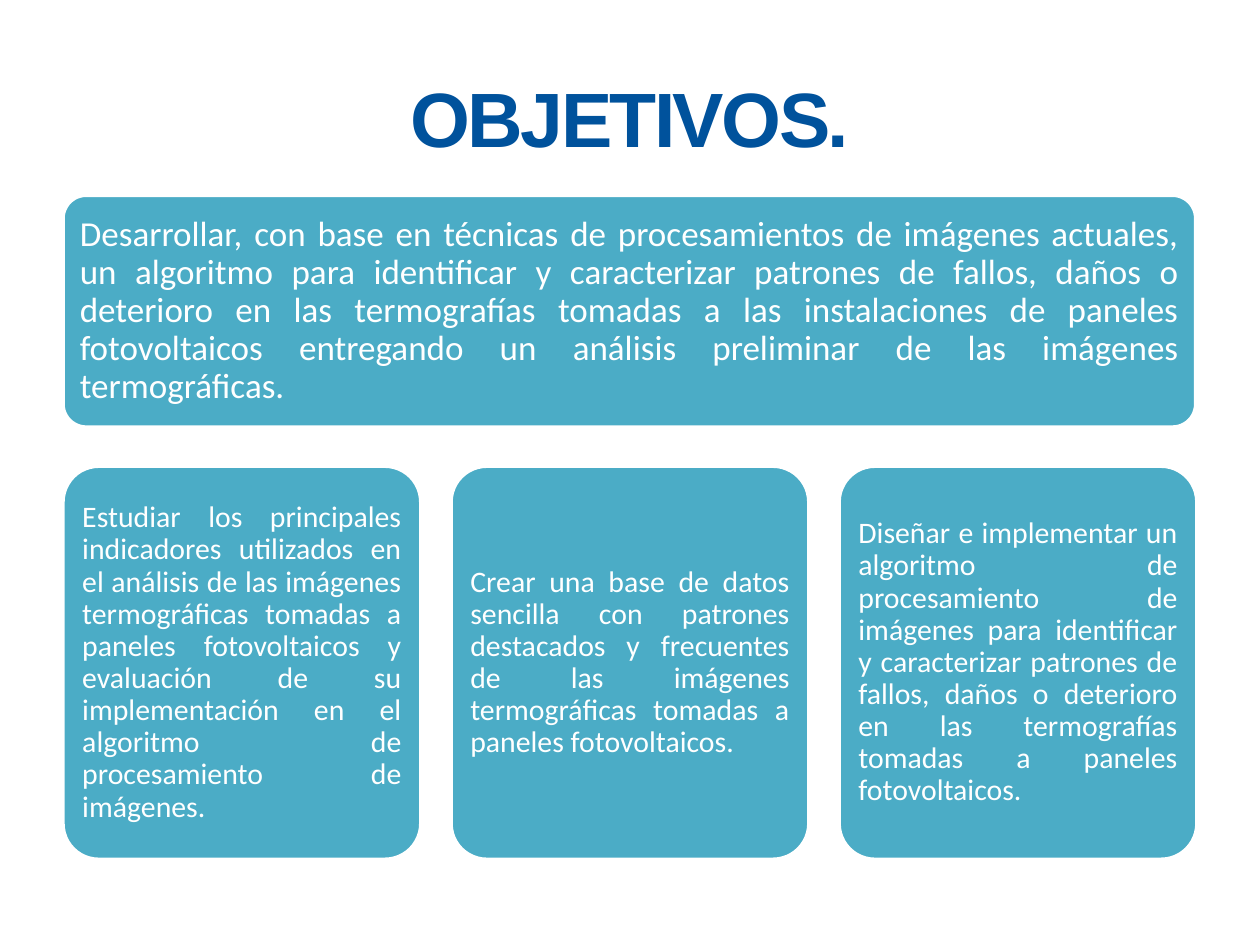
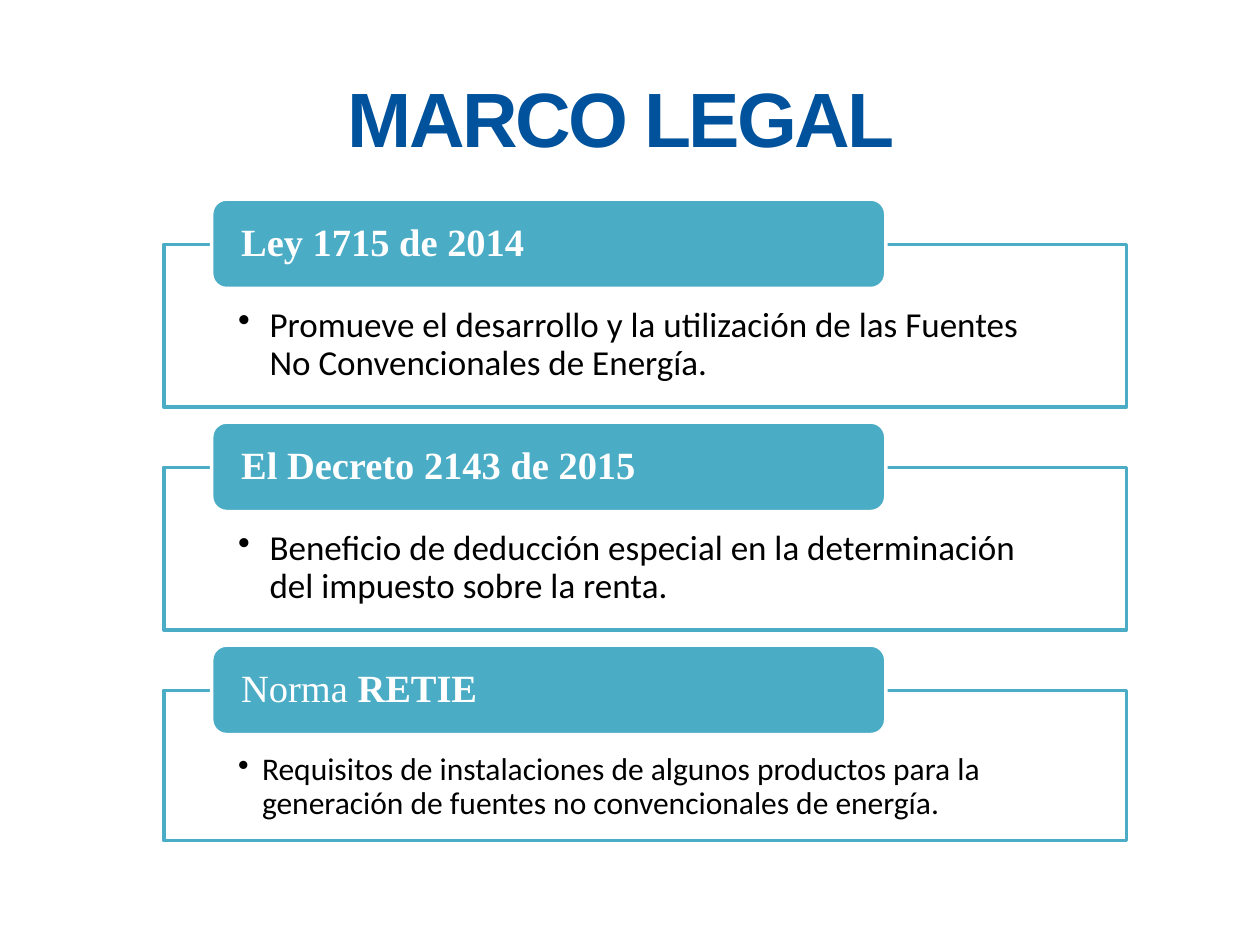
import dataclasses

import pptx
import pptx.dml.color
import pptx.enum.shapes
import pptx.enum.text
import pptx.oxml.ns
import pptx.oxml.xmlchemy
import pptx.presentation
import pptx.shapes.autoshape
import pptx.slide
import pptx.util
from lxml import etree

Inches = pptx.util.Inches
Align = pptx.enum.text.PP_ALIGN
Anchor = pptx.enum.text.MSO_ANCHOR
Preset = pptx.enum.shapes.MSO_SHAPE

COLORS = {"title": "00529C", "teal": "4BACC6", "white": "FFFFFF", "black": "000000"}
TITLE_ONLY = 5
CARD_LEFT, CARD_WIDTH = 0.5, 2.84
CARD_PITCH = 3.08
LAW_TOP, LAW_PITCH = 1.94, 1.77
TAB_RISE = 0.36


@dataclasses.dataclass(frozen=True)
class Span:
    text: str
    bold: bool = False


@dataclasses.dataclass(frozen=True)
class Style:
    size: float
    font: str
    color: str
    align: Align = Align.LEFT
    anchor: Anchor = Anchor.MIDDLE
    insets: tuple[float, float, float, float] = (0.08, 0.08, 0.08, 0.08)
    indent: float = 0


@dataclasses.dataclass(frozen=True)
class Frame:
    left: float
    top: float
    width: float
    height: float


@dataclasses.dataclass(frozen=True)
class Law:
    name: tuple[Span, ...]
    summary: str
    height: float = 1.29
    size: float = 20
    indent: float = 0.25
    bottom_inset: float = 0.16


GOAL = (
    "Desarrollar, con base en técnicas de procesamientos de imágenes actuales, un algoritmo "
    "para identificar y caracterizar patrones de fallos, daños o deterioro en las termografías "
    "tomadas a las instalaciones de paneles fotovoltaicos entregando un análisis preliminar "
    "de las imágenes termográficas. "
)
STEPS = (
    "Estudiar los principales indicadores utilizados en el análisis de las imágenes "
    "termográficas tomadas a paneles fotovoltaicos y evaluación de su implementación en el "
    "algoritmo de procesamiento de imágenes. ",
    "Crear una base de datos sencilla con patrones destacados y frecuentes de las imágenes "
    "termográficas tomadas a paneles fotovoltaicos.",
    "Diseñar e implementar un algoritmo de procesamiento de imágenes para identificar y "
    "caracterizar patrones de fallos, daños o deterioro en las termografías tomadas a "
    "paneles fotovoltaicos.",
)
LAWS = (
    Law(
        (Span("Ley 1715 de 2014", True),),
        "Promueve el desarrollo y la utilización de las Fuentes No Convencionales de Energía.",
    ),
    Law(
        (Span("El Decreto 2143 de 2015", True),),
        "Beneficio de deducción especial en la determinación del impuesto sobre la renta.",
    ),
    Law(
        (Span("Norma "), Span("RETIE", True)),
        "Requisitos de instalaciones de algunos productos para la generación de fuentes "
        "no convencionales de energía.",
        height=1.19,
        size=18,
        indent=0.19,
        bottom_inset=0.14,
    ),
)

GOAL_STYLE = Style(20, "Calibri", "white", Align.JUSTIFY)
STEP_STYLE = Style(17, "Calibri", "white", Align.JUSTIFY, insets=(0.07, 0.07, 0.07, 0.07))
TAB_STYLE = Style(22, "Times New Roman", "white", insets=(0.2, 0, 0.2, 0))


def rgb(name: str) -> pptx.dml.color.RGBColor:
    return pptx.dml.color.RGBColor.from_string(COLORS[name])


def add_bullet(paragraph, indent: float) -> None:
    paragraph.level = 1
    properties = paragraph._p.get_or_add_pPr()
    properties.set("marL", str(Inches(indent)))
    properties.set("indent", str(-Inches(indent)))
    bullet = etree.SubElement(properties, pptx.oxml.ns.qn("a:buChar"))
    bullet.set("char", "•")


def write(box: pptx.shapes.autoshape.Shape, spans: tuple[Span, ...], style: Style) -> None:
    frame = box.text_frame
    frame.word_wrap = True
    frame.vertical_anchor = style.anchor
    frame.margin_left, frame.margin_top, frame.margin_right, frame.margin_bottom = map(
        Inches, style.insets
    )
    paragraph = frame.paragraphs[0]
    paragraph.alignment = style.align
    paragraph.line_spacing = 0.9
    if style.indent:
        add_bullet(paragraph, style.indent)
    for span in spans:
        run = paragraph.add_run()
        run.text = span.text
        run.font.size = pptx.util.Pt(style.size)
        run.font.name = style.font
        run.font.bold = span.bold
        run.font.color.rgb = rgb(style.color)


def add_box(
    page: pptx.slide.Slide, preset: Preset, place: Frame, fill: str, line: str
) -> pptx.shapes.autoshape.Shape:
    box = page.shapes.add_shape(
        preset, *map(Inches, (place.left, place.top, place.width, place.height))
    )
    box.shadow.inherit = False
    box.fill.solid()
    box.fill.fore_color.rgb = rgb(fill)
    box.line.color.rgb = rgb(line)
    box.line.width = pptx.util.Pt(2)
    return box


def add_card(page: pptx.slide.Slide, place: Frame, text: str, style: Style) -> None:
    card = add_box(page, Preset.ROUNDED_RECTANGLE, place, "teal", "white")
    card.adjustments[0] = 0.1
    write(card, (Span(text),), style)


def add_law(page: pptx.slide.Slide, top: float, law: Law) -> None:
    panel = add_box(
        page, Preset.RECTANGLE, Frame(1.3, top, 7.64, law.height), "white", "teal"
    )
    summary_style = Style(
        law.size,
        "Calibri",
        "black",
        anchor=Anchor.TOP,
        insets=(0.59, 0.5, 0.59, law.bottom_inset),
        indent=law.indent,
    )
    write(panel, (Span(law.summary),), summary_style)
    tab = add_box(
        page,
        Preset.ROUNDED_RECTANGLE,
        Frame(1.68, top - TAB_RISE, 5.35, 0.71),
        "teal",
        "white",
    )
    write(tab, law.name, TAB_STYLE)


def add_page(deck: pptx.presentation.Presentation, heading: str) -> pptx.slide.Slide:
    page = deck.slides.add_slide(deck.slide_layouts[TITLE_ONLY])
    title = page.shapes.title
    title.left, title.top, title.width, title.height = map(Inches, (0.5, 0.3, 9, 1.25))
    title.text_frame.vertical_anchor = Anchor.MIDDLE
    paragraph = title.text_frame.paragraphs[0]
    paragraph.alignment = Align.CENTER
    run = paragraph.add_run()
    run.text = heading
    run.font.size = pptx.util.Pt(44)
    run.font.name = "Arial"
    run.font.bold = True
    run.font.color.rgb = rgb("title")
    run._r.get_or_add_rPr().set("spc", "-150")
    return page


def build_objectives(deck: pptx.presentation.Presentation) -> None:
    page = add_page(deck, "OBJETIVOS.")
    add_card(page, Frame(CARD_LEFT, 1.55, 8.99, 1.84), GOAL, GOAL_STYLE)
    for column, step in enumerate(STEPS):
        left = CARD_LEFT + column * CARD_PITCH
        add_card(page, Frame(left, 3.7, CARD_WIDTH, 3.12), step, STEP_STYLE)


def build_legal_framework(deck: pptx.presentation.Presentation) -> None:
    page = add_page(deck, "MARCO LEGAL ")
    for row, law in enumerate(LAWS):
        add_law(page, LAW_TOP + row * LAW_PITCH, law)


def main() -> None:
    deck = pptx.Presentation()
    deck.slide_width, deck.slide_height = Inches(10), Inches(7.5)
    build_objectives(deck)
    build_legal_framework(deck)
    deck.save("out.pptx")


if __name__ == "__main__":
    main()
